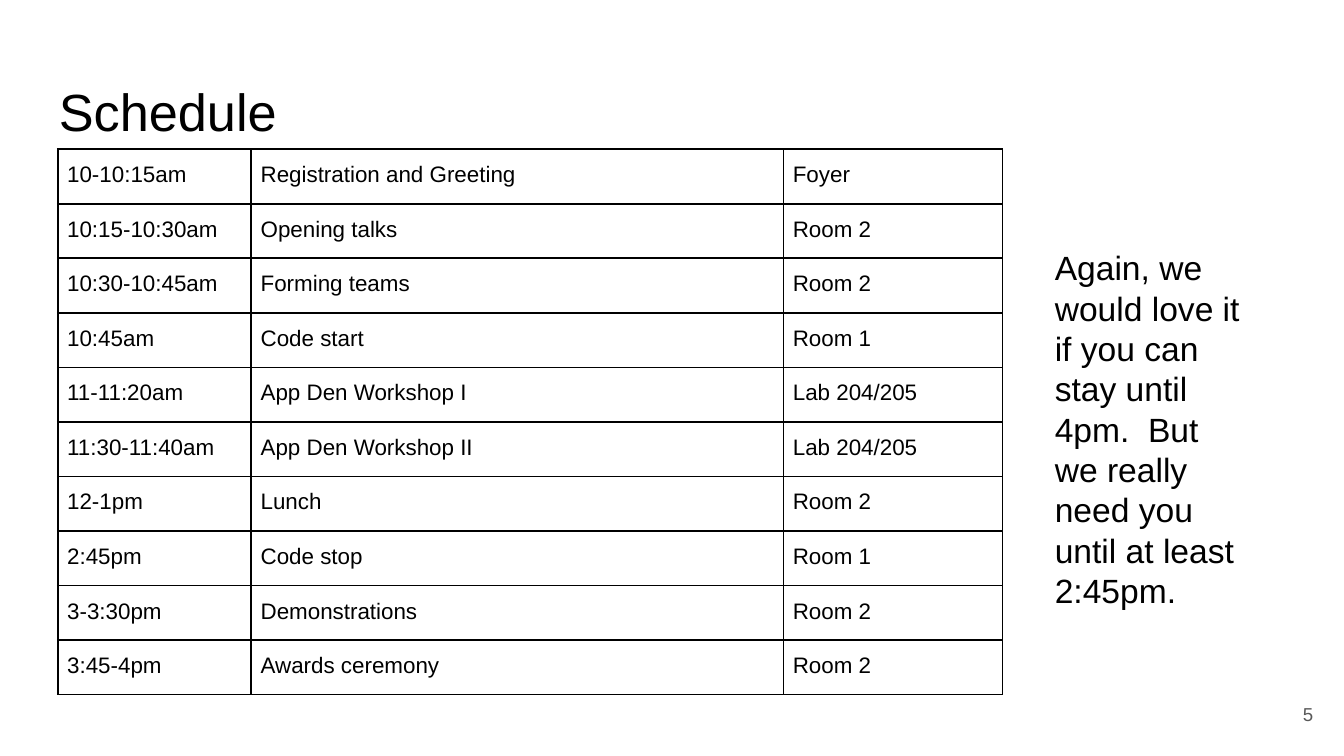
"""Builds the schedule slide with its timetable and a side note."""
from dataclasses import dataclass

import pptx
import pptx.dml.color
import pptx.enum.text
import pptx.oxml
import pptx.oxml.ns
import pptx.util
from pptx.util import Inches

FONT = "Arial"
BLACK = "000000"
GREY = "595959"
LEFT = pptx.enum.text.PP_ALIGN.LEFT
RIGHT = pptx.enum.text.PP_ALIGN.RIGHT
TOP = pptx.enum.text.MSO_ANCHOR.TOP
MIDDLE = pptx.enum.text.MSO_ANCHOR.MIDDLE
WIDTHS = (1.44, 3.96, 1.63)


@dataclass
class Event:
    time: str
    name: str
    room: str


@dataclass
class Label:
    text: str
    box: tuple[float, float, float, float]
    size: float
    color: str = BLACK
    align: pptx.enum.text.PP_ALIGN = LEFT
    anchor: pptx.enum.text.MSO_ANCHOR = TOP


EVENTS = [
    Event("10-10:15am", "Registration and Greeting", "Foyer"),
    Event("10:15-10:30am", "Opening talks", "Room 2"),
    Event("10:30-10:45am", "Forming teams", "Room 2"),
    Event("10:45am", "Code start", "Room 1"),
    Event("11-11:20am", "App Den Workshop I", "Lab 204/205"),
    Event("11:30-11:40am", "App Den Workshop II", "Lab 204/205"),
    Event("12-1pm", "Lunch", "Room 2"),
    Event("2:45pm", "Code stop", "Room 1"),
    Event("3-3:30pm", "Demonstrations", "Room 2"),
    Event("3:45-4pm", "Awards ceremony", "Room 2"),
]

TITLE = Label("Schedule", (0.34, 0.49, 9.32, 0.63), 28)
NUMBER = Label("5", (9.27, 5.1, 0.6, 0.43), 10, GREY, RIGHT, MIDDLE)
NOTE = Label(
    "Again, we would love it if you can stay until 4pm.  "
    "But we really need you until at least 2:45pm.",
    (7.75, 1.74, 1.64, 2.95),
    18,
)


def paint(code: str) -> pptx.dml.color.RGBColor:
    return pptx.dml.color.RGBColor.from_string(code)


def write(para, text: str, size: float, color: str = BLACK) -> None:
    run = para.add_run()
    run.text = text
    run.font.name = FONT
    run.font.size = pptx.util.Pt(size)
    run.font.color.rgb = paint(color)


def pad(item, inset: float) -> None:
    item.margin_left = item.margin_right = Inches(inset)
    item.margin_top = item.margin_bottom = Inches(inset)


def add_label(slide, label: Label) -> None:
    frame = slide.shapes.add_textbox(*map(Inches, label.box)).text_frame
    frame.word_wrap = True
    frame.vertical_anchor = label.anchor
    pad(frame, 0.1)
    para = frame.paragraphs[0]
    para.alignment = label.align
    write(para, label.text, label.size, label.color)


def rule(cell, color: str, width: float) -> None:
    props = cell._tc.get_or_add_tcPr()
    space = pptx.oxml.ns.nsdecls("a")
    for place, side in enumerate("LRTB"):
        line = pptx.oxml.parse_xml(
            f'<a:ln{side} {space} w="{pptx.util.Pt(width)}"><a:solidFill>'
            f'<a:srgbClr val="{color}"/></a:solidFill></a:ln{side}>'
        )
        props.insert(place, line)


def fill_cell(cell, text: str) -> None:
    pad(cell, 0.07)
    cell.fill.background()
    rule(cell, BLACK, 1)
    para = cell.text_frame.paragraphs[0]
    para.line_spacing = 1.15
    write(para, text, 12)


def add_grid(slide, events: list[Event]) -> None:
    table = slide.shapes.add_table(
        len(events), len(WIDTHS), Inches(0.43), Inches(1.11),
        Inches(sum(WIDTHS)), Inches(4.06),
    ).table
    table.first_row = table.horz_banding = False
    for column, width in zip(table.columns, WIDTHS):
        column.width = Inches(width)
    for row, event in zip(table.rows, events):
        for cell, text in zip(row.cells, (event.time, event.name, event.room)):
            fill_cell(cell, text)


def main() -> None:
    deck = pptx.Presentation()
    deck.slide_width = Inches(10)
    deck.slide_height = Inches(10 * 9 / 16)
    slide = deck.slides.add_slide(deck.slide_layouts[6])
    add_label(slide, TITLE)
    add_label(slide, NUMBER)
    add_grid(slide, EVENTS)
    add_label(slide, NOTE)
    deck.save("out.pptx")


if __name__ == "__main__":
    main()
